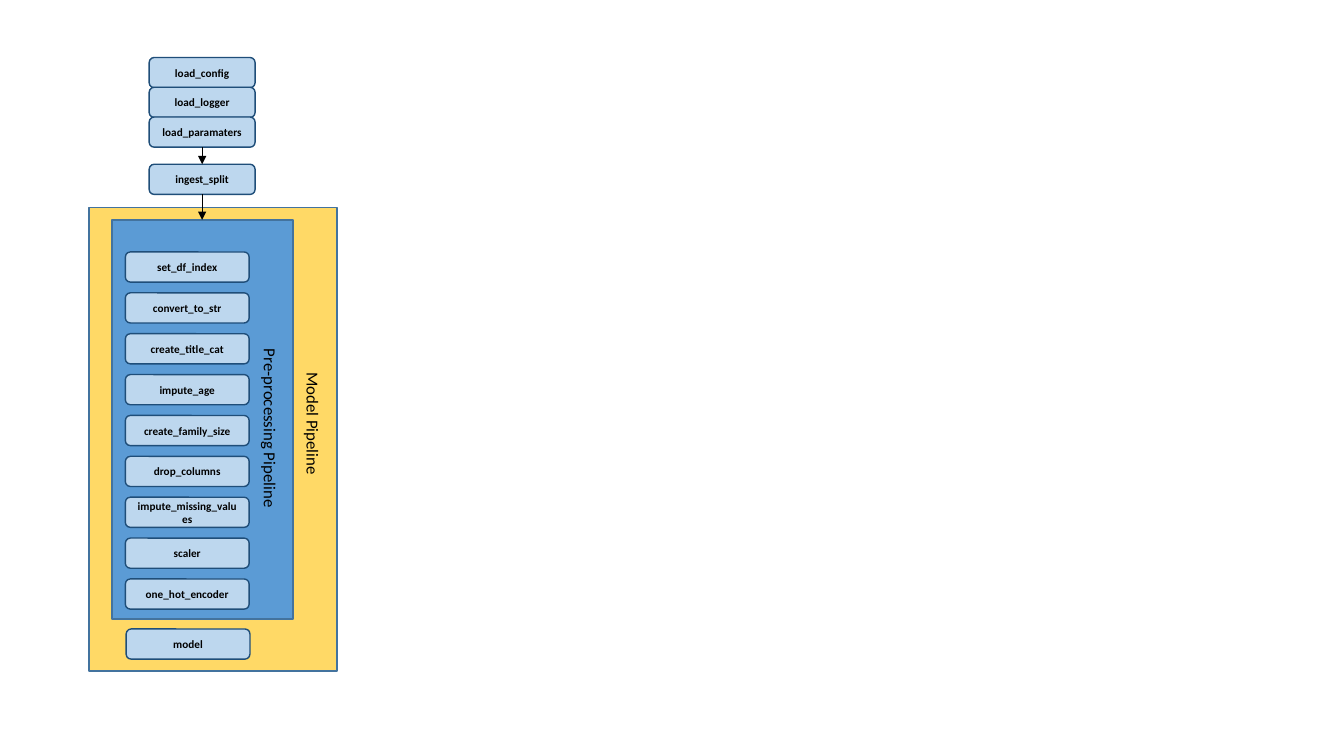
from dataclasses import dataclass

from lxml.etree import SubElement
from pptx import Presentation
from pptx.dml.color import RGBColor
from pptx.enum.shapes import MSO_CONNECTOR, MSO_SHAPE
from pptx.enum.text import MSO_ANCHOR, MSO_AUTO_SIZE, PP_ALIGN
from pptx.oxml.ns import qn
from pptx.util import Cm, Pt

BLACK = RGBColor(0x00, 0x00, 0x00)
GOLD = RGBColor(0xFF, 0xD9, 0x66)
BLUE = RGBColor(0x5B, 0x9B, 0xD5)
PALE = RGBColor(0xBD, 0xD7, 0xEE)
NAVY = RGBColor(0x1F, 0x4E, 0x79)
STEEL = RGBColor(0x43, 0x73, 0x9E)

HIGH = 0.76
LOADS = ["load_config", "load_logger", "load_paramaters"]
STEPS = [
    "set_df_index", "convert_to_str", "create_title_cat",
    "impute_age", "create_family_size", "drop_columns",
    "impute_missing_values", "scaler", "one_hot_encoder",
]


@dataclass
class Panel:
    left: float
    top: float
    width: float
    height: float
    fill: RGBColor


@dataclass
class Node:
    text: str
    left: float
    top: float
    width: float


@dataclass
class Label:
    text: str
    left: float
    top: float
    width: float


@dataclass
class Arrow:
    x: float
    top: float
    end: float


def write(frame, text: str, *, size: float, bold: bool = False,
          anchor: MSO_ANCHOR = MSO_ANCHOR.TOP) -> None:
    frame.word_wrap = True
    frame.vertical_anchor = anchor
    line = frame.paragraphs[0]
    line.alignment = PP_ALIGN.CENTER
    run = line.add_run()
    run.text = text
    run.font.name = "Calibri"
    run.font.size = Pt(size)
    run.font.bold = bold
    run.font.color.rgb = BLACK


def paint(shape, fill: RGBColor, edge: RGBColor) -> None:
    shape.shadow.inherit = False
    shape.fill.solid()
    shape.fill.fore_color.rgb = fill
    shape.line.color.rgb = edge
    shape.line.width = Pt(1)


def draw_panel(shapes, panel: Panel) -> None:
    shape = shapes.add_shape(MSO_SHAPE.RECTANGLE, Cm(panel.left), Cm(panel.top),
                             Cm(panel.width), Cm(panel.height))
    paint(shape, panel.fill, STEEL)


def draw_node(shapes, node: Node) -> None:
    shape = shapes.add_shape(MSO_SHAPE.ROUNDED_RECTANGLE, Cm(node.left),
                             Cm(node.top), Cm(node.width), Cm(HIGH))
    paint(shape, PALE, NAVY)
    write(shape.text_frame, node.text, size=8, bold=True, anchor=MSO_ANCHOR.MIDDLE)


def draw_label(shapes, label: Label) -> None:
    box = shapes.add_textbox(Cm(label.left), Cm(label.top), Cm(label.width), Cm(HIGH))
    box.rotation = 90
    write(box.text_frame, label.text, size=12)
    box.text_frame.auto_size = MSO_AUTO_SIZE.SHAPE_TO_FIT_TEXT


def draw_arrow(shapes, arrow: Arrow) -> None:
    line = shapes.add_connector(MSO_CONNECTOR.STRAIGHT, Cm(arrow.x), Cm(arrow.top),
                                Cm(arrow.x), Cm(arrow.end))
    line.line.color.rgb = BLACK
    line.line.width = Pt(0.5)
    SubElement(line.line._get_or_add_ln(), qn("a:tailEnd"), type="triangle")
    SubElement(line._element.spPr, qn("a:effectLst"))


def main() -> None:
    deck = Presentation()
    deck.slide_width = Cm(33.87)
    deck.slide_height = Cm(19.05)
    shapes = deck.slides.add_slide(deck.slide_layouts[6]).shapes

    outer = Panel(2.24, 5.23, 6.25, 11.68, GOLD)
    inner = Panel(2.82, 5.54, 4.57, 10.06, BLUE)
    for panel in (outer, inner):
        draw_panel(shapes, panel)

    ingest = Node("ingest_split", 3.76, 4.14, 2.67)
    steps = [Node(name, 3.16, 6.35 + 1.03 * i, 3.12) for i, name in enumerate(STEPS)]
    model = Node("model", 3.18, 15.85, 3.12)
    for node in (ingest, *steps, model):
        draw_node(shapes, node)

    group = shapes.add_group_shape()
    loads = [Node(name, ingest.left, 1.45 + 0.75 * i, ingest.width)
             for i, name in enumerate(LOADS)]
    for node in loads:
        draw_node(group.shapes, node)

    axis = ingest.left + ingest.width / 2
    for top, end in ((loads[-1].top + HIGH, ingest.top), (ingest.top + HIGH, inner.top)):
        draw_arrow(shapes, Arrow(axis, top, end))

    for label in (Label("Pre-processing Pipeline", 4.34, 10.41, 4.95),
                  Label("Model Pipeline", 5.66, 10.29, 4.47)):
        draw_label(shapes, label)

    deck.save("out.pptx")


main()
